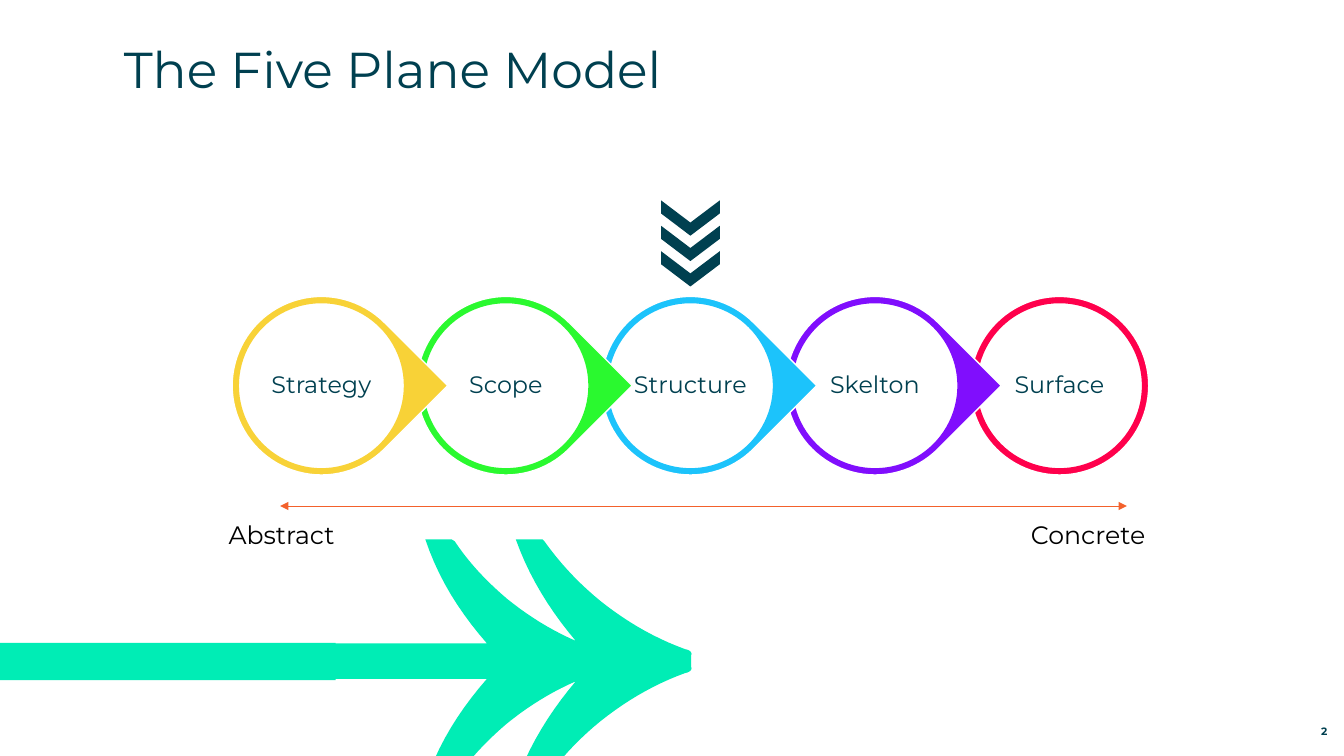
import pptx
import pptx.dml.color
import pptx.enum.shapes
import pptx.enum.text
import pptx.oxml
import pptx.oxml.ns
import pptx.util

Cm, Pt = pptx.util.Cm, pptx.util.Pt
SHAPE = pptx.enum.shapes.MSO_SHAPE
ALIGN = pptx.enum.text.PP_ALIGN
ANCHOR = pptx.enum.text.MSO_ANCHOR

# Content (lengths in cm)
TITLE = "The Five Plane Model"
PLANES = [("Strategy", "F8D237"), ("Scope", "2AF92F"), ("Structure", "1CC3FB"),
          ("Skelton", "800EFD"), ("Surface", "FF004C")]
SCALE_ENDS = [("Abstract", 5.51, 3.23), ("Concrete", 25.73, 3.45)]
PAGE_NUMBER = "2"
FONT, INK, WHITE, BLACK, MINT, ORANGE = (
    "Montserrat", "004050", "FFFFFF", "000000", "00EDB5", "F3612C")

FIRST_X, PLANE_Y, PITCH = 8.1, 9.72, 4.65
DROP_SIZE, DISC_SIZE = 4.5, 4.19
MARKED_PLANE = 2
CHEVRON_COUNT, CHEVRON_TOP, CHEVRON_PITCH = 3, 5.05, 0.64
CHEVRON_HALF, CHEVRON_DROP, CHEVRON_BAND = 0.74, 0.56, 0.33

# Upper half of the big arrow: one point is a line, three are a Bezier curve
ARROW_AXIS = 16.66
ARROW_START = (4.98, 16.21)
ARROW_EDGE = [
    [(12.27, 16.21)],
    [(11.58, 15.42), (11.05, 14.58), (10.72, 13.59)],
    [(11.38, 13.59)],
    [(11.46, 13.64)],
    [(11.81, 14.17), (12.27, 14.66), (12.78, 15.09)],
    [(13.31, 15.52), (13.89, 15.88), (14.51, 16.15)],
    [(13.87, 15.39), (13.34, 14.55), (13.0, 13.59)],
    [(13.67, 13.59)],
    [(13.72, 13.64)],
    [(14.17, 14.27), (14.71, 14.83), (15.32, 15.29)],
    [(15.93, 15.75), (16.56, 16.1), (17.27, 16.36)],
    [(17.4, 16.38), (17.45, 16.46), (17.42, 16.51)],
]
CURVE_STEPS = 10


def rgb(value):
    return pptx.dml.color.RGBColor.from_string(value)


def paint(shape, fill, line=None):
    shape.shadow.inherit = False
    shape.fill.solid()
    shape.fill.fore_color.rgb = rgb(fill)
    if line:
        shape.line.color.rgb = rgb(line)
        shape.line.width = Pt(1)
    else:
        shape.line.fill.background()


def write(shape, text, size, color, align=ALIGN.LEFT, anchor=ANCHOR.TOP,
          inset=None, wrap=False):
    frame = shape.text_frame
    frame.word_wrap = wrap
    frame.vertical_anchor = anchor
    if inset is not None:
        frame.margin_left = frame.margin_right = Cm(inset)
        frame.margin_top = frame.margin_bottom = Cm(inset)
    paragraph = frame.paragraphs[0]
    paragraph.text = text
    paragraph.alignment = align
    paragraph.font.name = FONT
    paragraph.font.size = Pt(size)
    paragraph.font.color.rgb = rgb(color)
    return paragraph


def outline(points, fill):
    corners = [(Cm(x), Cm(y)) for x, y in points]
    builder = slide.shapes.build_freeform(*corners[0])
    builder.add_line_segments(corners[1:], close=True)
    paint(builder.convert_to_shape(), fill)


def trace(start, segments):
    points = [start]
    for segment in segments:
        if len(segment) == 1:
            points += segment
            continue
        bezier = [points[-1], *segment]
        for step in range(1, CURVE_STEPS + 1):
            t = step / CURVE_STEPS
            weights = ((1 - t) ** 3, 3 * t * (1 - t) ** 2, 3 * t * t * (1 - t), t ** 3)
            points.append(tuple(sum(w * p[axis] for w, p in zip(weights, bezier))
                                for axis in (0, 1)))
    return points


def centred(kind, x, size):
    corner = Cm(x - size / 2), Cm(PLANE_Y - size / 2)
    return slide.shapes.add_shape(kind, *corner, Cm(size), Cm(size))


presentation = pptx.Presentation()
presentation.slide_width, presentation.slide_height = Cm(33.87), Cm(19.05)
slide = presentation.slides.add_slide(presentation.slide_layouts[5])

# Big arrow, mirrored about its axis, and its shaft
upper = trace(ARROW_START, ARROW_EDGE)
lower = [(x, 2 * ARROW_AXIS - y) for x, y in reversed(upper)]
outline(upper + lower, MINT)
shaft = slide.shapes.add_shape(SHAPE.RECTANGLE, 0, Cm(16.2), Cm(8.46), Cm(0.94))
paint(shaft, MINT)

# Title
title = slide.shapes.title
title.left, title.top, title.width, title.height = Cm(3.12), Cm(0.99), Cm(29.41), Cm(1.4)
write(title, TITLE, 36, INK, inset=0, wrap=True).line_spacing = Pt(42)

# Planes, from the last to the first so that each tip lies over the next ring
for index, (plane, color) in reversed(list(enumerate(PLANES))):
    x = FIRST_X + index * PITCH
    is_last = index == len(PLANES) - 1
    drop = centred(SHAPE.OVAL if is_last else SHAPE.TEAR, x, DROP_SIZE)
    drop.rotation = 0 if is_last else 45
    paint(drop, color, WHITE)
    disc = centred(SHAPE.OVAL, x, DISC_SIZE)
    paint(disc, WHITE, color)
    label = write(disc, plane, 17, INK, ALIGN.CENTER, ANCHOR.MIDDLE, inset=0)
    label.line_spacing = 0.9

# Scale from abstract to concrete
scale = slide.shapes.add_connector(
    pptx.enum.shapes.MSO_CONNECTOR.STRAIGHT, Cm(7.06), Cm(12.75), Cm(28.4), Cm(12.75))
scale.line.color.rgb = rgb(ORANGE)
scale.line.width = Pt(0.5)
for end in ("a:headEnd", "a:tailEnd"):
    arrowhead = pptx.oxml.parse_xml(f'<{end} {pptx.oxml.ns.nsdecls("a")} type="triangle"/>')
    scale.line._get_or_add_ln().append(arrowhead)
scale._element.spPr.append(
    pptx.oxml.parse_xml(f'<a:effectLst {pptx.oxml.ns.nsdecls("a")}/>'))
for end_name, left, width in SCALE_ENDS:
    end_label = slide.shapes.add_textbox(Cm(left), Cm(12.95), Cm(width), Cm(1.02))
    write(end_label, end_name, 18, BLACK)

# Page number
page = slide.shapes.add_textbox(Cm(31.27), Cm(18.08), Cm(2.18), Cm(0.51))
write(page, PAGE_NUMBER, 7.6, INK, ALIGN.RIGHT, ANCHOR.BOTTOM, 0, True).font.bold = True

# Chevrons above the marked plane
marked_x = FIRST_X + MARKED_PLANE * PITCH
for index in range(CHEVRON_COUNT):
    top = CHEVRON_TOP + index * CHEVRON_PITCH
    edge = [(marked_x - CHEVRON_HALF, top), (marked_x, top + CHEVRON_DROP),
            (marked_x + CHEVRON_HALF, top)]
    outline(edge + [(x, y + CHEVRON_BAND) for x, y in reversed(edge)], INK)

presentation.save("out.pptx")
